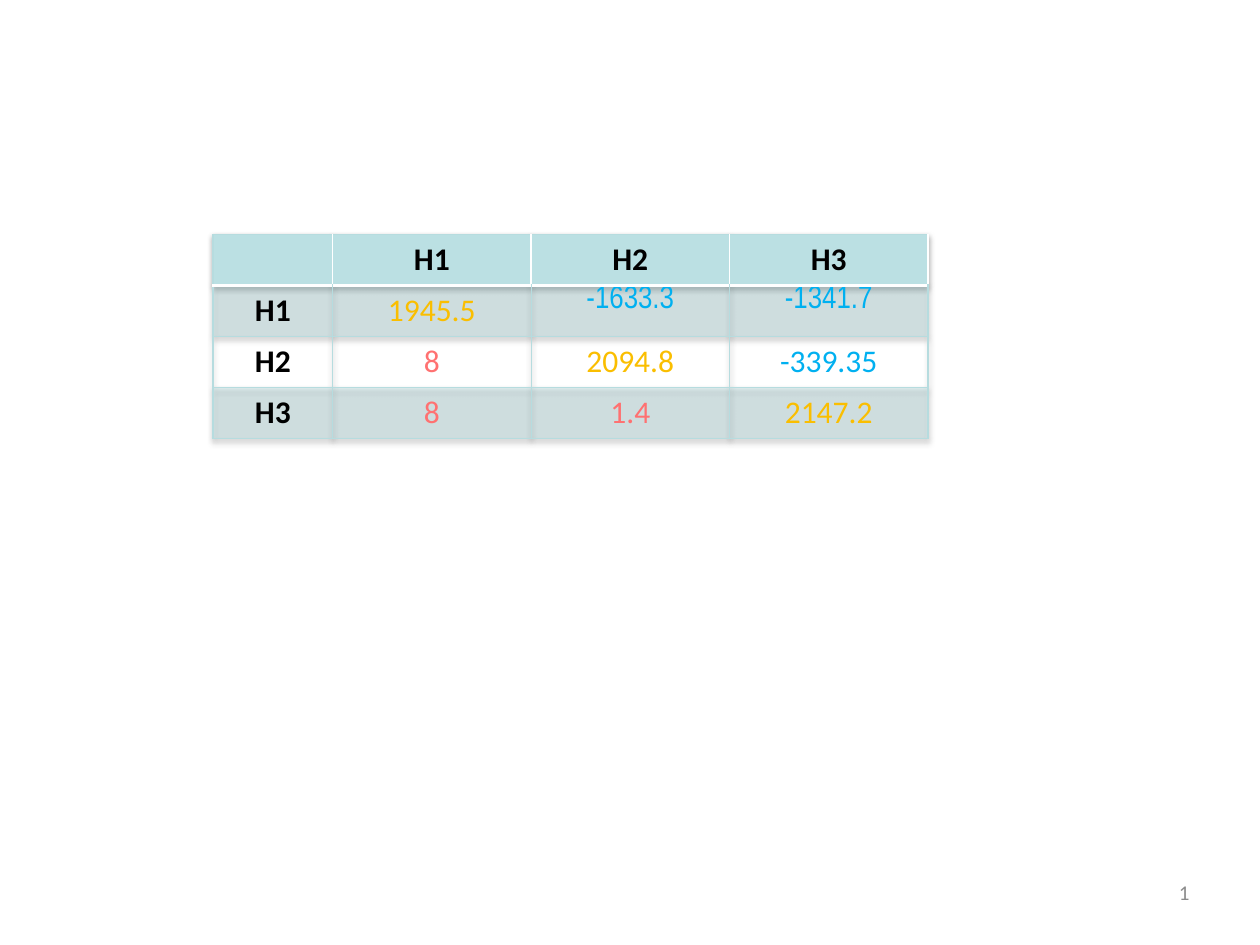
from dataclasses import dataclass

from lxml.etree import SubElement
from pptx import Presentation
from pptx.dml.color import RGBColor
from pptx.enum.text import MSO_ANCHOR as Anchor, PP_ALIGN as Align
from pptx.oxml import parse_xml
from pptx.oxml.ns import nsdecls, qn
from pptx.util import Inches, Pt

SLIDE_W, SLIDE_H = 10, 7.5
FILL, GRID, WHITE = "BBE0E3", "B6DCDF", "FFFFFF"
LABEL_W, VALUE_W, ROW_H = 0.95, 1.575, 0.405


@dataclass(frozen=True)
class Style:
    color: str
    bold: bool = False
    font: str = "Calibri"
    top_margin: float = 0.05


HEAD = Style("000000", bold=True)
DIAGONAL = Style("FABE00")
LOWER = Style("FF7171")
UPPER = Style("00B0F0")
UPPER_NARROW = Style("00B0F0", font="Arial Narrow", top_margin=0)

NAMES = ["H1", "H2", "H3"]
VALUES = [
    ["1945.5", "-1633.3", "-1341.7"],
    ["8", "2094.8", "-339.35"],
    ["8", "1.4", "2147.2"],
]


def rgb(color: str) -> RGBColor:
    return RGBColor.from_string(color)


def style_at(row: int, col: int) -> Style:
    if row == 0 or col == 0:
        return HEAD
    if row == col:
        return DIAGONAL
    if row > col:
        return LOWER
    return UPPER_NARROW if row == 1 else UPPER


def set_border(cell, side: str, color: str, width: float) -> None:
    ln = SubElement(cell._tc.get_or_add_tcPr(), qn(f"a:ln{side}"), w=str(Pt(width)))
    SubElement(SubElement(ln, qn("a:solidFill")), qn("a:srgbClr"), val=color)


def set_borders(cell, row: int, col: int) -> None:
    """Thin grid lines, none between header cells, and a white rule under the header."""
    if row > 0 or col == 0:
        set_border(cell, "L", GRID, 0.75)
    if row > 0:
        set_border(cell, "R", GRID, 0.75)
    set_border(cell, "T", *((WHITE, 2) if row == 1 else (GRID, 0.75)))
    set_border(cell, "B", *((WHITE, 2) if row == 0 else (GRID, 0.75)))


def set_fill(cell, row: int) -> None:
    """Solid header, and a translucent band on every odd row."""
    if row > 0 and row % 2 == 0:
        cell.fill.background()
        return
    cell.fill.solid()
    cell.fill.fore_color.rgb = rgb(FILL)
    if row > 0:
        clr = cell._tc.tcPr.find(f"{qn('a:solidFill')}/{qn('a:srgbClr')}")
        SubElement(clr, qn("a:alpha"), val="40000")


def write_cell(cell, text: str, style: Style) -> None:
    cell.margin_top = Inches(style.top_margin)
    cell.vertical_anchor = Anchor.TOP
    p = cell.text_frame.paragraphs[0]
    p.alignment = Align.CENTER
    if text:
        r = p.add_run()
        r.text = text
        r.font.name, r.font.size, r.font.bold = style.font, Pt(18), style.bold
        r.font.color.rgb = rgb(style.color)


def add_shadow(table) -> None:
    table._tbl.tblPr.insert(0, parse_xml(
        f'<a:effectLst {nsdecls("a")}>'
        '<a:outerShdw blurRad="40000" dist="23000" dir="5400000" rotWithShape="0">'
        '<a:srgbClr val="000000"><a:alpha val="35000"/></a:srgbClr>'
        '</a:outerShdw></a:effectLst>'))


def add_matrix(s) -> None:
    rows = [["", *NAMES]] + [[name, *vals] for name, vals in zip(NAMES, VALUES)]
    widths = [LABEL_W] + [VALUE_W] * len(NAMES)
    table = s.shapes.add_table(
        len(rows), len(widths), Inches(1.69), Inches(1.86),
        Inches(sum(widths)), Inches(ROW_H * len(rows))).table
    add_shadow(table)
    for column, width in zip(table.columns, widths):
        column.width = Inches(width)
    for i, texts in enumerate(rows):
        table.rows[i].height = Inches(ROW_H)
        for j, text in enumerate(texts):
            cell = table.cell(i, j)
            write_cell(cell, text, style_at(i, j))
            set_borders(cell, i, j)
            set_fill(cell, i)


def add_slide_number(s) -> None:
    tf = s.shapes.add_textbox(Inches(7.36), Inches(6.82), Inches(2.18), Inches(0.52)).text_frame
    tf.word_wrap = True
    tf.vertical_anchor = Anchor.MIDDLE
    p = tf.paragraphs[0]
    p.alignment = Align.RIGHT
    p._p.append(parse_xml(
        f'<a:fld {nsdecls("a")} id="{{B6F15528-21DE-4FAA-801E-634DDDAF4B2B}}" type="slidenum">'
        '<a:rPr lang="en-US" sz="1200"><a:solidFill><a:srgbClr val="8C8C8C"/></a:solidFill>'
        '<a:latin typeface="Calibri"/></a:rPr><a:t>1</a:t></a:fld>'))


def main() -> None:
    prs = Presentation()
    prs.slide_width, prs.slide_height = Inches(SLIDE_W), Inches(SLIDE_H)
    s = prs.slides.add_slide(prs.slide_layouts[6])
    add_slide_number(s)
    add_matrix(s)
    prs.save("out.pptx")


if __name__ == "__main__":
    main()
